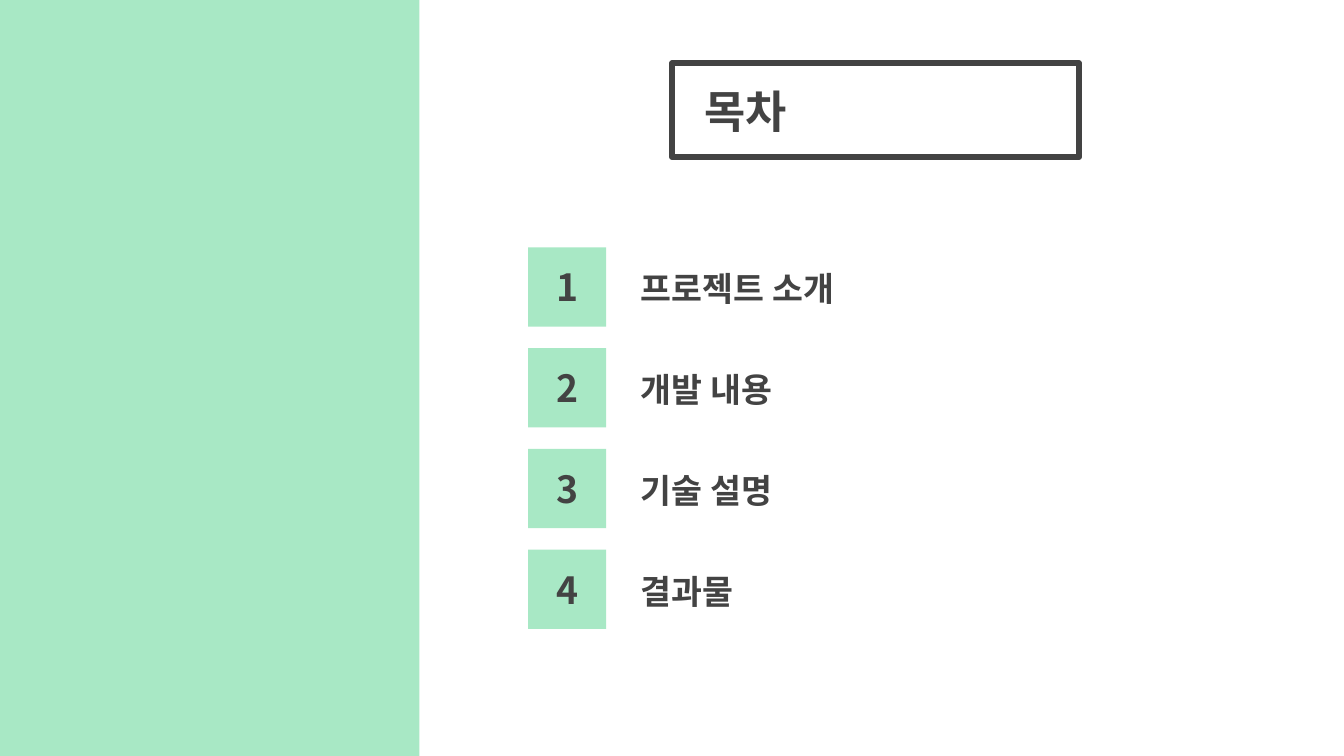
from pptx import Presentation
from pptx.dml.color import RGBColor
from pptx.enum.shapes import MSO_SHAPE
from pptx.enum.text import MSO_ANCHOR, PP_ALIGN
from pptx.util import Inches, Pt
from lxml.etree import SubElement
from pptx.oxml.ns import qn

MINT = RGBColor(0xA8, 0xE8, 0xC5)
DARK = RGBColor(0x43, 0x43, 0x43)
FONT = "Noto Sans CJK KR"

# 16:9 slide
WIDTH = 10
HEIGHT = WIDTH * 9 / 16
prs = Presentation()
prs.slide_width, prs.slide_height = Inches(WIDTH), Inches(HEIGHT)
s = prs.slides.add_slide(prs.slide_layouts[6])


def add_rect(x, y, w, h, fill=None, line=None):
    sp = s.shapes.add_shape(MSO_SHAPE.RECTANGLE, Inches(x), Inches(y), Inches(w), Inches(h))
    sp.shadow.inherit = False
    if fill is not None:
        sp.fill.solid()
        sp.fill.fore_color.rgb = fill
    else:
        sp.fill.background()
    if line is not None:
        sp.line.color.rgb = line
        sp.line.width = Pt(3)
    else:
        sp.line.fill.background()
    return sp


def set_text(sp, text, size, align=PP_ALIGN.LEFT):
    tf = sp.text_frame
    tf.word_wrap = True
    tf.vertical_anchor = MSO_ANCHOR.MIDDLE
    tf.margin_left = tf.margin_right = tf.margin_top = tf.margin_bottom = Inches(0.1)
    p = tf.paragraphs[0]
    p.alignment = align
    r = p.add_run()
    r.text = text
    r.font.size = Pt(size)
    r.font.bold = True
    r.font.color.rgb = DARK
    r.font.name = FONT
    # Hangul uses the East Asian font slot
    SubElement(r.font._element, qn("a:ea")).set("typeface", FONT)


# Side panel
add_rect(0, 0, 3.12, HEIGHT, fill=MINT)

# Framed title
add_rect(5, 0.47, 3.03, 0.7, line=DARK)
title = s.shapes.add_textbox(Inches(5.14), Inches(0.21), Inches(4.86), Inches(1.22))
set_text(title, "목차", 24)

# Numbered contents
PITCH = 0.75
for i, topic in enumerate(["프로젝트 소개", "개발 내용", "기술 설명", "결과물"]):
    number = add_rect(3.93, 1.84 + i * PITCH, 0.58, 0.59, fill=MINT)
    set_text(number, str(i + 1), 20, PP_ALIGN.CENTER)
    label = s.shapes.add_textbox(Inches(4.67), Inches(1.77 + i * PITCH), Inches(5.33), Inches(PITCH))
    set_text(label, topic, 18)

prs.save("out.pptx")
